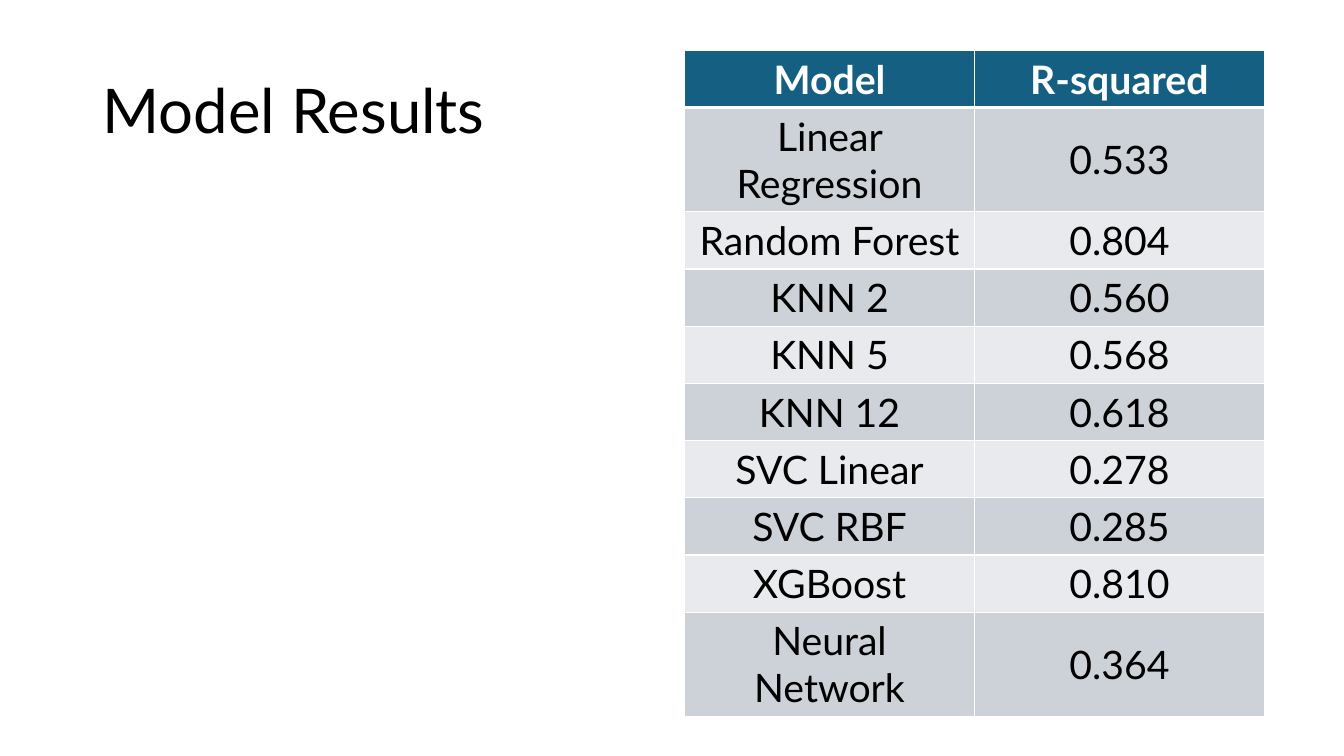
import dataclasses

import lxml.etree
import pptx
import pptx.dml.color
import pptx.enum.text
import pptx.oxml.ns
import pptx.table
import pptx.text.text
import pptx.util

Inches = pptx.util.Inches
FONT = "Lato"
HUES = {
    "ink": "000000",
    "white": "FFFFFF",
    "head": "156082",
    "dark": "CCD2D8",
    "light": "E8EAED",
}


@dataclasses.dataclass(frozen=True)
class Score:
    model: str
    value: str


@dataclasses.dataclass(frozen=True)
class Look:
    fill: str
    ink: str
    bold: bool
    base: float


HEAD = Look("head", "white", True, 3)
BANDS = (Look("dark", "ink", False, 1), Look("light", "ink", False, 1))

SCORES = [
    Score("Linear Regression", "0.533"),
    Score("Random Forest", "0.804"),
    Score("KNN 2", "0.560"),
    Score("KNN 5", "0.568"),
    Score("KNN 12", "0.618"),
    Score("SVC Linear", "0.278"),
    Score("SVC RBF", "0.285"),
    Score("XGBoost", "0.810"),
    Score("Neural Network", "0.364"),
]


def shade(name: str) -> pptx.dml.color.RGBColor:
    return pptx.dml.color.RGBColor.from_string(HUES[name])


def write(para: pptx.text.text._Paragraph, text: str, size: float, ink: str, bold: bool) -> None:
    run = para.add_run()
    run.text = text
    run.font.name = FONT
    run.font.size = pptx.util.Pt(size)
    run.font.bold = bold
    run.font.color.rgb = shade(ink)


def edge(cell: pptx.table._Cell, top: float, base: float) -> None:
    qn = pptx.oxml.ns.qn
    props = cell._tc.get_or_add_tcPr()
    sides = {"lnL": 1, "lnR": 1, "lnT": top, "lnB": base}
    for spot, (side, width) in enumerate(sides.items()):
        line = lxml.etree.Element(qn(f"a:{side}"), w=str(pptx.util.Pt(width)))
        fill = lxml.etree.SubElement(line, qn("a:solidFill"))
        lxml.etree.SubElement(fill, qn("a:srgbClr"), val=HUES["white"])
        props.insert(spot, line)


def draw_cell(cell: pptx.table._Cell, text: str, look: Look, top: float) -> None:
    cell.fill.solid()
    cell.fill.fore_color.rgb = shade(look.fill)
    cell.vertical_anchor = pptx.enum.text.MSO_ANCHOR.MIDDLE
    edge(cell, top, look.base)
    para = cell.text_frame.paragraphs[0]
    para.alignment = pptx.enum.text.PP_ALIGN.CENTER
    write(para, text, 28, look.ink, look.bold)


def draw_title(slide: pptx.slide.Slide) -> None:
    box = slide.shapes.add_textbox(Inches(0.92), Inches(0.4), Inches(11.5), Inches(1.45))
    frame = box.text_frame
    frame.word_wrap = True
    frame.vertical_anchor = pptx.enum.text.MSO_ANCHOR.MIDDLE
    para = frame.paragraphs[0]
    para.line_spacing = 0.9
    write(para, "Model Results", 44, "ink", False)


def draw_table(slide: pptx.slide.Slide) -> None:
    rows = [Score("Model", "R-squared"), *SCORES]
    frame = slide.shapes.add_table(
        len(rows), 2, Inches(6.79), Inches(0.5), Inches(5.75), Inches(6.13)
    )
    table = frame.table
    top = 1
    for i, score in enumerate(rows):
        table.rows[i].height = Inches(0.41)
        look = BANDS[(i - 1) % 2] if i else HEAD
        for j, text in enumerate((score.model, score.value)):
            draw_cell(table.cell(i, j), text, look, top)
        top = look.base
    frame.height = Inches(6.13)


def main() -> None:
    deck = pptx.Presentation()
    deck.slide_width = Inches(13.33)
    deck.slide_height = Inches(7.5)
    slide = deck.slides.add_slide(deck.slide_layouts[6])
    draw_title(slide)
    draw_table(slide)
    deck.save("out.pptx")


if __name__ == "__main__":
    main()
